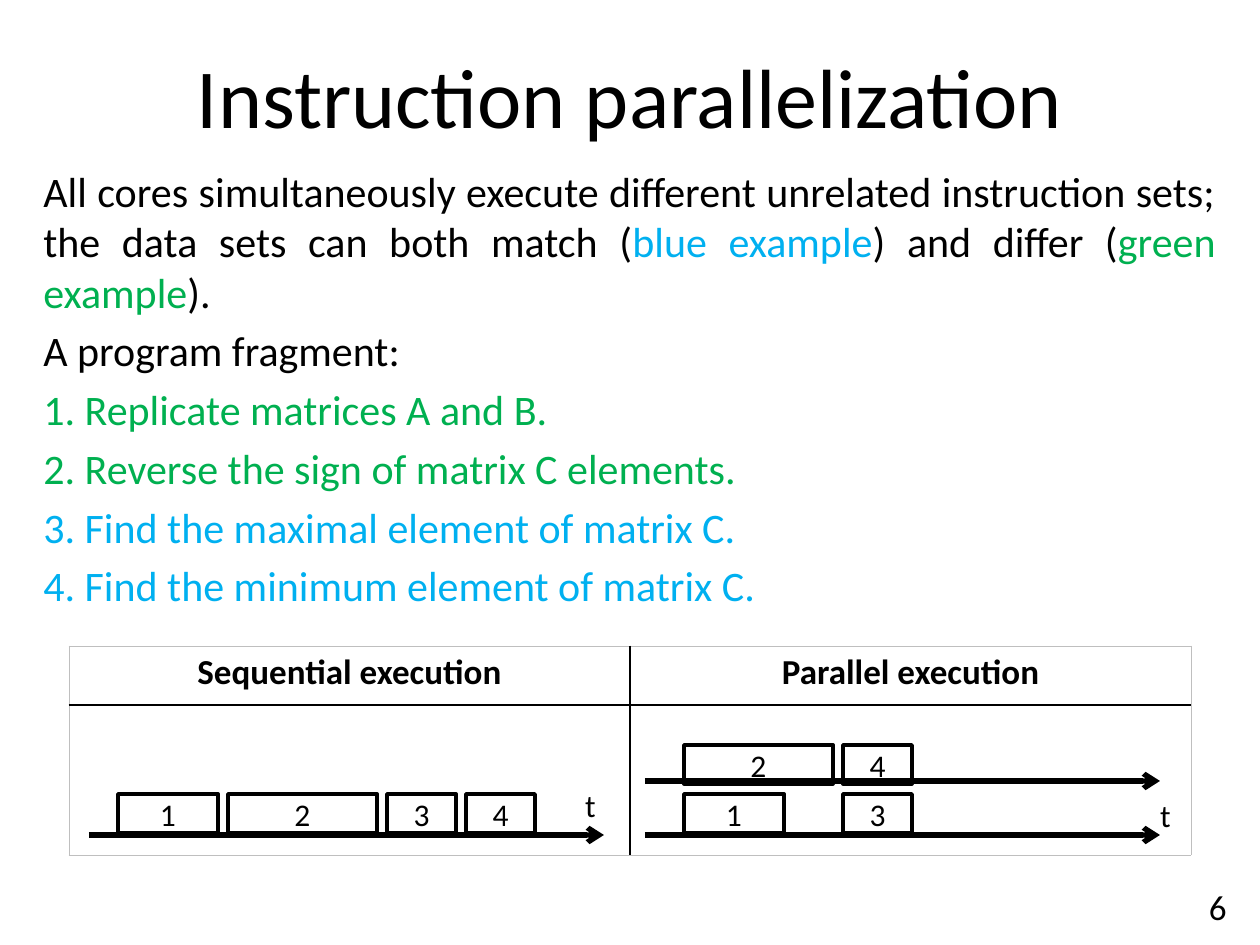
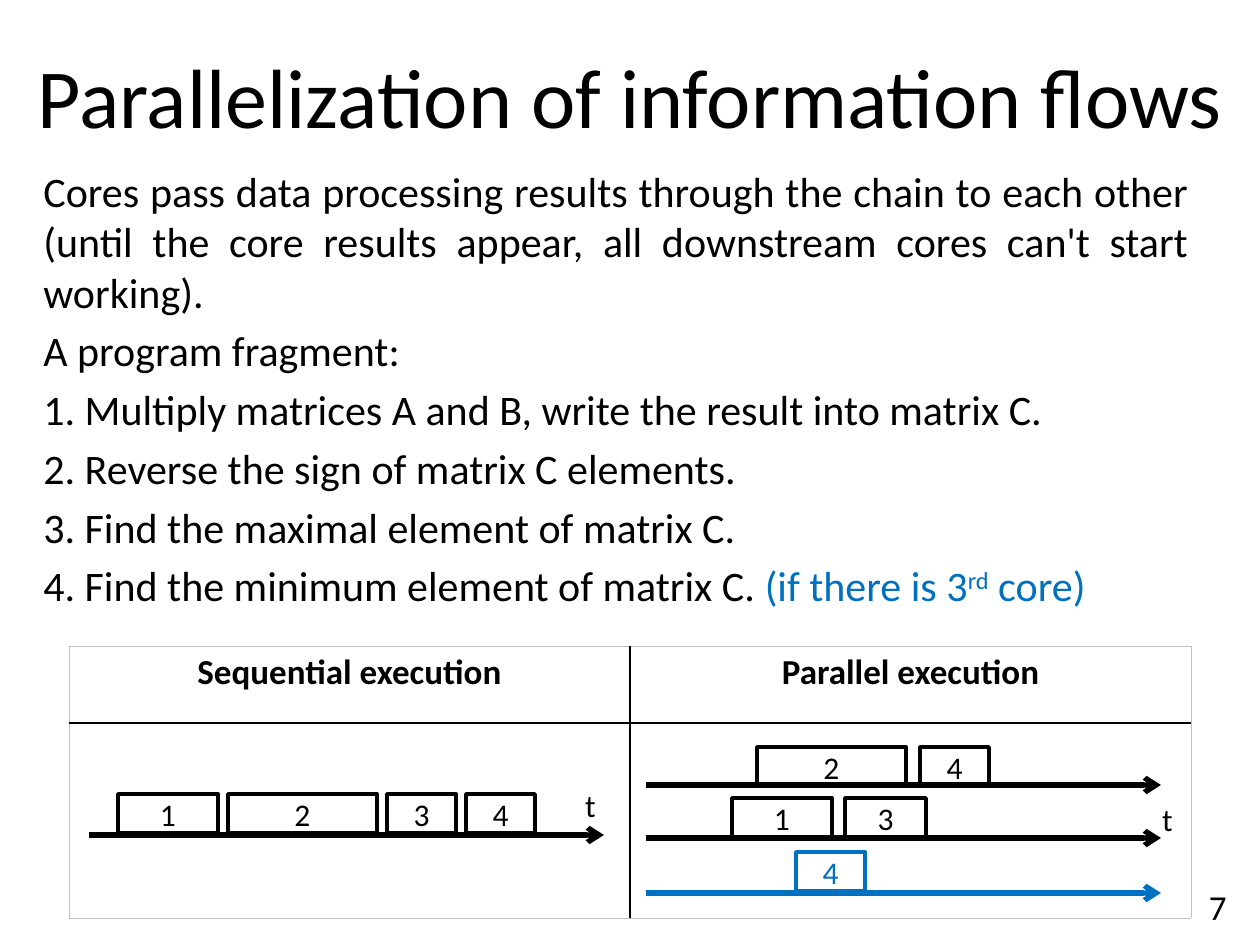
from lxml.etree import SubElement
from pptx import Presentation
from pptx.dml.color import RGBColor
from pptx.enum.shapes import MSO_CONNECTOR, MSO_SHAPE
from pptx.enum.text import MSO_ANCHOR, PP_ALIGN
from pptx.oxml import parse_xml
from pptx.oxml.ns import nsdecls, qn
from pptx.util import Emu, Pt

BLACK = RGBColor(0x00, 0x00, 0x00)
WHITE = RGBColor(0xFF, 0xFF, 0xFF)
GREY = RGBColor(0xBF, 0xBF, 0xBF)
GREEN = RGBColor(0x00, 0xB0, 0x50)
SKY = RGBColor(0x00, 0xB0, 0xF0)
BLUE = RGBColor(0x00, 0x70, 0xC0)
FONT = "Calibri"
PX_PER_INCH = 126

HEADERS = ["Sequential execution", "Parallel execution"]
TABLE_LEFT, TABLE_TOP, COLUMN_W, CELL_INSET = 69, 646, 561, 5
AXIS_LEN = 515
BOX_H = 39
BOX_W = {"1": 100, "2": 149, "3": 69, "4": 69}

# A lane: axis left, axis y, top of its boxes, colour, {step: left}
SEQUENTIAL = (89, 835, 794, BLACK, {"1": 118, "2": 228, "3": 387, "4": 466})
SEQUENTIAL_T = (556, 785)

# A paragraph is a list of runs: (text, colour) or (text, colour, baseline)
SLIDES = [
    dict(
        title="Instruction parallelization",
        number="6",
        body_w=1197,
        body=[
            [("All cores simultaneously execute different unrelated instruction sets; "
              "the data sets can both match (", BLACK), ("blue example", SKY),
             (") and differ (", BLACK), ("green example", GREEN), (").", BLACK)],
            [("A program fragment:", BLACK)],
            [("1. Replicate matrices A and B.", GREEN)],
            [("2. Reverse the sign of matrix C elements.", GREEN)],
            [("3. Find the maximal element of matrix C.", SKY)],
            [("4. Find the minimum element of matrix C.", SKY)],
        ],
        rows=[59, 150],
        lanes=[
            (645, 835, 794, BLACK, {"1": 684, "3": 843}),
            (645, 781, 745, BLACK, {"2": 684, "4": 843}),
        ],
        parallel_t=(1131, 795),
        widths=BOX_W,
    ),
    dict(
        title="Parallelization of information flows",
        number="7",
        body_w=1170,
        body=[
            [("Cores pass data processing results through the chain to each other "
              "(until the core results appear, all downstream cores can't start working).",
              BLACK)],
            [("A program fragment:", BLACK)],
            [("1. Multiply matrices A and B, write the result into matrix C.", BLACK)],
            [("2. Reverse the sign of matrix C elements.", BLACK)],
            [("3. Find the maximal element of matrix C.", BLACK)],
            [("4. Find the minimum element of matrix C. ", BLACK),
             ("(if there is 3", BLUE), ("rd", BLUE, 30000), (" core)", BLUE)],
        ],
        rows=[77, 195],
        lanes=[
            (646, 838, 798, BLACK, {"1": 732, "3": 845}),
            (646, 785, 747, BLACK, {"2": 757, "4": 920}),
            (646, 893, 852, BLUE, {"4": 796}),
        ],
        parallel_t=(1133, 799),
        widths=BOX_W | {"3": 81},
    ),
]


def px(v):
    return Emu(round(v * 914400 / PX_PER_INCH))


def write(tf, paragraphs, size, align=PP_ALIGN.CENTER, anchor=MSO_ANCHOR.MIDDLE,
          color=BLACK, bold=False, before=0):
    """Fill a text frame from a string or from a list of paragraphs of runs."""
    if isinstance(paragraphs, str):
        paragraphs = [[(paragraphs, color)]]
    tf.word_wrap = True
    tf.vertical_anchor = anchor
    for i, runs in enumerate(paragraphs):
        p = tf.add_paragraph() if i else tf.paragraphs[0]
        p.alignment = align
        p.space_before = Pt(before)
        for text, run_color, *baseline in runs:
            r = p.add_run()
            r.text = text
            r.font.name, r.font.size, r.font.bold = FONT, Pt(size), bold
            r.font.color.rgb = run_color
            if baseline:
                r._r.get_or_add_rPr().set("baseline", str(baseline[0]))


def add_text(s, x, y, w, h, text, size, **fmt):
    write(s.shapes.add_textbox(px(x), px(y), px(w), px(h)).text_frame, text, size, **fmt)


def add_box(s, x, y, w, label, color=BLACK, outlined=True):
    sp = s.shapes.add_shape(MSO_SHAPE.RECTANGLE, px(x), px(y), px(w), px(BOX_H))
    sp.shadow.inherit = False
    sp.fill.solid()
    sp.fill.fore_color.rgb = WHITE
    if outlined:
        sp.line.color.rgb = color
        sp.line.width = Pt(2)
    else:
        sp.line.fill.background()
    write(sp.text_frame, label, 18, color=color)


def add_lane(s, left, axis_y, box_top, color, steps, widths):
    for step, x in steps.items():
        add_box(s, x, box_top, widths[step], step, color)
    axis = s.shapes.add_connector(MSO_CONNECTOR.STRAIGHT, px(left), px(axis_y),
                                  px(left + AXIS_LEN), px(axis_y))
    axis.line.color.rgb = color
    axis.line.width = Pt(3)
    SubElement(axis.line._get_or_add_ln(), qn("a:tailEnd"), type="arrow")
    SubElement(axis._element.spPr, qn("a:effectLst"))


def set_borders(cell, row, col):
    """Black rules between cells, thin grey ones around the table."""
    inner = {"L": col == 1, "R": col == 0, "T": row == 1, "B": row == 0}
    for i, (side, is_inner) in enumerate(inner.items()):
        color, width = (BLACK, Pt(1)) if is_inner else (GREY, Pt(0.5))
        cell._tc.get_or_add_tcPr().insert(i, parse_xml(
            f'<a:ln{side} {nsdecls("a")} w="{width}"><a:solidFill>'
            f'<a:srgbClr val="{color}"/></a:solidFill></a:ln{side}>'))


def add_execution_table(s, row_heights):
    frame = s.shapes.add_table(2, 2, px(TABLE_LEFT), px(TABLE_TOP),
                               px(2 * COLUMN_W), px(sum(row_heights)))
    table = frame.table
    table.first_row = table.horz_banding = False
    for row, h in enumerate(row_heights):
        table.rows[row].height = px(h)
        for col, header in enumerate(HEADERS):
            table.columns[col].width = px(COLUMN_W)
            cell = table.cell(row, col)
            cell.fill.background()
            cell.margin_left = cell.margin_right = px(CELL_INSET)
            cell.margin_top = cell.margin_bottom = px(CELL_INSET)
            set_borders(cell, row, col)
            if row == 0:
                write(cell.text_frame, header, 20, bold=True, anchor=MSO_ANCHOR.TOP)


def add_slide(prs, content):
    s = prs.slides.add_slide(prs.slide_layouts[6])
    add_box(s, *content["parallel_t"], BOX_W["4"], "t", outlined=False)
    add_text(s, 31, 159, content["body_w"], 462, content["body"], 24,
             align=PP_ALIGN.JUSTIFY, anchor=MSO_ANCHOR.TOP, before=4.8)
    add_text(s, 0, 0, 1260, 189, content["title"], 48)
    add_text(s, 945, 882, 294, 50, content["number"], 20, align=PP_ALIGN.RIGHT)
    add_execution_table(s, content["rows"])
    add_box(s, *SEQUENTIAL_T, BOX_W["4"], "t", outlined=False)
    add_lane(s, *SEQUENTIAL, BOX_W)
    for lane in content["lanes"]:
        add_lane(s, *lane, content["widths"])


def main():
    prs = Presentation()
    prs.slide_width, prs.slide_height = px(1260), px(945)
    for content in SLIDES:
        add_slide(prs, content)
    prs.save("out.pptx")


if __name__ == "__main__":
    main()
